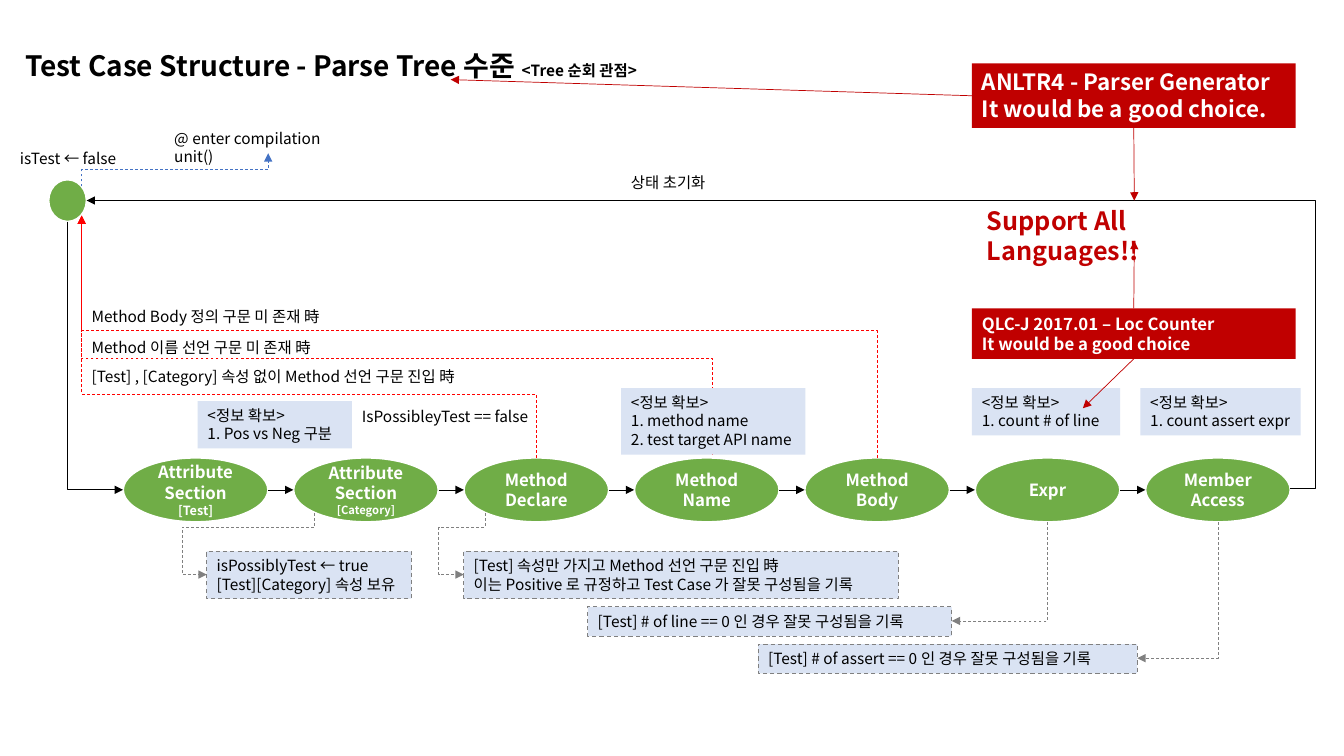
from lxml import etree
from pptx import Presentation
from pptx.dml.color import RGBColor
from pptx.enum.dml import MSO_LINE
from pptx.enum.shapes import MSO_CONNECTOR, MSO_SHAPE
from pptx.enum.text import MSO_ANCHOR, PP_ALIGN
from pptx.oxml.ns import qn
from pptx.util import Inches, Pt

STRAIGHT, ELBOW = MSO_CONNECTOR.STRAIGHT, MSO_CONNECTOR.ELBOW
OVAL, RECTANGLE = MSO_SHAPE.OVAL, MSO_SHAPE.RECTANGLE
DASH = MSO_LINE.DASH
MIDDLE, TOP_ANCHOR = MSO_ANCHOR.MIDDLE, MSO_ANCHOR.TOP
LEFT_ALIGN, CENTER = PP_ALIGN.LEFT, PP_ALIGN.CENTER
TOP, LEFT, BOTTOM = 0, 1, 2

BLACK = RGBColor(0x00, 0x00, 0x00)
WHITE = RGBColor(0xFF, 0xFF, 0xFF)
GREEN = RGBColor(0x70, 0xAD, 0x47)
PALE_BLUE = RGBColor(0xDA, 0xE3, 0xF3)
BLUE = RGBColor(0x44, 0x72, 0xC4)
GRAY = RGBColor(0x80, 0x80, 0x80)
RED = RGBColor(0xFF, 0x00, 0x00)
DARK_RED = RGBColor(0xC0, 0x00, 0x00)


class FlowPage:
    font = "Noto Sans CJK KR"

    def __init__(self, deck):
        self.page = deck.slides.add_slide(deck.slide_layouts[5])
        self.shapes = self.page.shapes

    def style(self, span, size, color, bold=False):
        span.font.name = self.font
        span.font.size = Pt(size)
        span.font.bold = bold
        span.font.color.rgb = color
        east_asian = etree.SubElement(span.font._element, qn("a:ea"))
        east_asian.set("typeface", self.font)

    def fill_text(self, box, text, size, color, bold=False, align=LEFT_ALIGN, anchor=TOP_ANCHOR):
        frame = box.text_frame
        frame.word_wrap = True
        frame.vertical_anchor = anchor
        frame.text = text
        for para in frame.paragraphs:
            para.alignment = align
            for span in para.runs:
                self.style(span, size, color, bold)

    def title(self, text, note):
        box = self.shapes.title
        box.left, box.top = Inches(0.15), Inches(0.4)
        box.width, box.height = Inches(12.26), Inches(0.53)
        self.fill_text(box, text, 20, BLACK, True, anchor=MIDDLE)
        para = box.text_frame.paragraphs[0]
        para.line_spacing = 0.9
        span = para.add_run()
        span.text = note
        self.style(span, 11, BLACK, True)

    def label(self, left, top, width, text, height=0.29, size=11, color=BLACK, bold=False):
        box = self.shapes.add_textbox(Inches(left), Inches(top), Inches(width), Inches(height))
        self.fill_text(box, text, size, color, bold)
        return box

    def shape(self, kind, left, top, width, height, fill):
        shape = self.shapes.add_shape(kind, Inches(left), Inches(top), Inches(width), Inches(height))
        shape.shadow.inherit = False
        shape.fill.solid()
        shape.fill.fore_color.rgb = fill
        shape.line.fill.background()
        return shape

    def oval(self, left, top, width, height, text="", small_size=None):
        oval = self.shape(OVAL, left, top, width, height, GREEN)
        oval.line.color.rgb = WHITE
        oval.line.width = Pt(1.5)
        if text:
            self.fill_text(oval, text, 12, WHITE, True, CENTER, MIDDLE)
        if small_size:
            oval.text_frame.paragraphs[-1].runs[0].font.size = Pt(small_size)

    def note(self, left, top, width, height, text, dashed=False):
        box = self.shape(RECTANGLE, left, top, width, height, PALE_BLUE)
        if dashed:
            box.line.color.rgb = GRAY
            box.line.width = Pt(0.75)
            box.line.dash_style = DASH
        self.fill_text(box, text, 11, BLACK)

    def banner(self, top, height, text, size):
        box = self.shape(RECTANGLE, 9.64, top, 3.21, height, DARK_RED)
        self.fill_text(box, text, size, WHITE, True)
        return box

    def arrow(self, begin, end, color=BLACK, kind=STRAIGHT, dashed=False):
        arrow = self.shapes.add_connector(kind, *map(Inches, begin + end))
        arrow.line.color.rgb = color
        arrow.line.width = Pt(0.5)
        if dashed:
            arrow.line.dash_style = DASH
        outline = arrow._element.spPr.find(qn("a:ln"))
        etree.SubElement(outline, qn("a:tailEnd")).set("type", "triangle")
        etree.SubElement(arrow._element.spPr, qn("a:effectLst"))
        return arrow

    def bend(self, arrow, bends):
        geometry = arrow._element.spPr.find(qn("a:prstGeom"))
        geometry.set("prst", f"bentConnector{len(bends) + 2}")
        guides = geometry.find(qn("a:avLst"))
        for number, share in enumerate(bends, 1):
            guide = etree.SubElement(guides, qn("a:gd"))
            guide.set("name", f"adj{number}")
            guide.set("fmla", f"val {round(share * 100000)}")

    def upright_elbow(self, begin, end, color, bends=(), dashed=True):
        across, down = end[0] - begin[0], end[1] - begin[1]
        center_x, center_y = (begin[0] + end[0]) / 2, (begin[1] + end[1]) / 2
        turn = 1 if down > 0 else -1
        half_width, half_height = abs(down) / 2, turn * across / 2
        arrow = self.arrow((center_x - half_width, center_y + half_height),
                           (center_x + half_width, center_y - half_height), color, ELBOW, dashed)
        arrow._element.spPr.find(qn("a:xfrm")).set("rot", str((180 - 90 * turn) * 60000))
        self.bend(arrow, bends)


def main():
    deck = Presentation()
    deck.slide_width, deck.slide_height = Inches(13.33), Inches(7.5)
    flow = FlowPage(deck)
    flow.title("Test Case Structure - Parse Tree 수준 ", "<Tree 순회 관점>")

    steps = [("Attribute\nSection\n[Test]", 9), ("Attribute\nSection\n[Category]", 8),
             ("Method\nDeclare", None), ("Method\nName", None), ("Method\nBody", None),
             ("Expr", None), ("Member\nAccess", None)]
    first, pitch, width = 1.22, 1.69, 1.44
    for index, (text, small_size) in enumerate(steps):
        left = first + index * pitch
        flow.oval(left, 4.54, width, 0.64, text, small_size)
        if index:
            flow.arrow((left - pitch + width, 4.86), (left, 4.86))
    flow.oval(0.48, 1.78, 0.38, 0.42)

    flow.upright_elbow((0.67, 2.2), (1.22, 4.86), BLACK, dashed=False)
    reset = flow.arrow((12.8, 4.85), (0.86, 1.99), kind=ELBOW)
    flow.bend(reset, [-0.021])
    for left, top, level in [(5.32, 4.54, 3.91), (7.07, 4.51, 3.56), (8.7, 4.54, 3.28)]:
        flow.upright_elbow((left, top), (0.81, 2.14), RED, [(top - level) / (top - 2.14)])
    flow.upright_elbow((0.81, 1.85), (2.66, 1.52), BLUE, [0.5])
    flow.upright_elbow((4.81, 5.09), (4.6, 5.7), GRAY, [0.23, 2.19])
    flow.upright_elbow((3.12, 5.09), (2.05, 5.7), GRAY, [0.23, 1.23])
    flow.upright_elbow((10.39, 5.18), (9.44, 6.16), GRAY)
    flow.upright_elbow((12.08, 5.18), (11.28, 6.53), GRAY)

    for left, top, width, text in [
        (0.81, 3, 2.67, "Method Body 정의 구문 미 존재 時"),
        (0.81, 3.31, 2.62, "Method 이름 선언 구문 미 존재 時"),
        (0.81, 3.59, 4.08, "[Test] , [Category] 속성 없이 Method 선언 구문 진입 時"),
        (6.16, 1.67, 1.03, "상태 초기화"),
        (3.49, 3.99, 1.88, "IsPossibleyTest == false"),
        (0.1, 1.43, 1.17, "isTest ← false"),
        (1.63, 1.23, 2.07, "@ enter compilation unit()"),
    ]:
        flow.label(left, top, width, text)

    for left, top, width, height, text in [
        (1.96, 3.98, 1.53, 0.47, "1. Pos vs Neg 구분"),
        (6.16, 3.85, 1.83, 0.66, "1. method name\n2. test target API name"),
        (9.64, 3.85, 1.47, 0.47, "1. count # of line"),
        (11.31, 3.85, 1.59, 0.47, "1. count assert expr"),
    ]:
        flow.note(left, top, width, height, "<정보 확보>\n" + text)

    for left, top, width, height, text in [
        (2.05, 5.47, 2.03, 0.47, "isPossiblyTest ← true\n[Test][Category] 속성 보유"),
        (4.6, 5.47, 4.31, 0.47, "[Test] 속성만 가지고 Method 선언 구문 진입 時\n"
                                "이는 Positive 로 규정하고 Test Case 가 잘못 구성됨을 기록"),
        (5.83, 6.02, 3.61, 0.29, "[Test] # of line == 0 인 경우 잘못 구성됨을 기록"),
        (7.52, 6.39, 3.76, 0.29, "[Test] # of assert == 0 인 경우 잘못 구성됨을 기록"),
    ]:
        flow.note(left, top, width, height, text, dashed=True)

    parser = flow.banner(0.63, 0.64, "ANLTR4 - Parser Generator\nIt would be a good choice.", 16)
    counter = flow.banner(3.06, 0.5, "QLC-J 2017.01 – Loc Counter\nIt would be a good choice", 12)
    support = flow.label(9.69, 1.99, 3.12, "Support All Languages!!", 0.4, 18, DARK_RED, True)
    flow.arrow((9.64, 0.95), (4.47, 0.79), DARK_RED).begin_connect(parser, LEFT)
    flow.arrow((11.25, 3.56), (10.74, 4.05), DARK_RED).begin_connect(counter, BOTTOM)
    for banner, side, target in [(parser, BOTTOM, TOP), (counter, TOP, BOTTOM)]:
        arrow = flow.arrow((11.25, 1.27), (11.25, 1.99), DARK_RED)
        arrow.begin_connect(banner, side)
        arrow.end_connect(support, target)

    deck.save("out.pptx")


if __name__ == "__main__":
    main()
